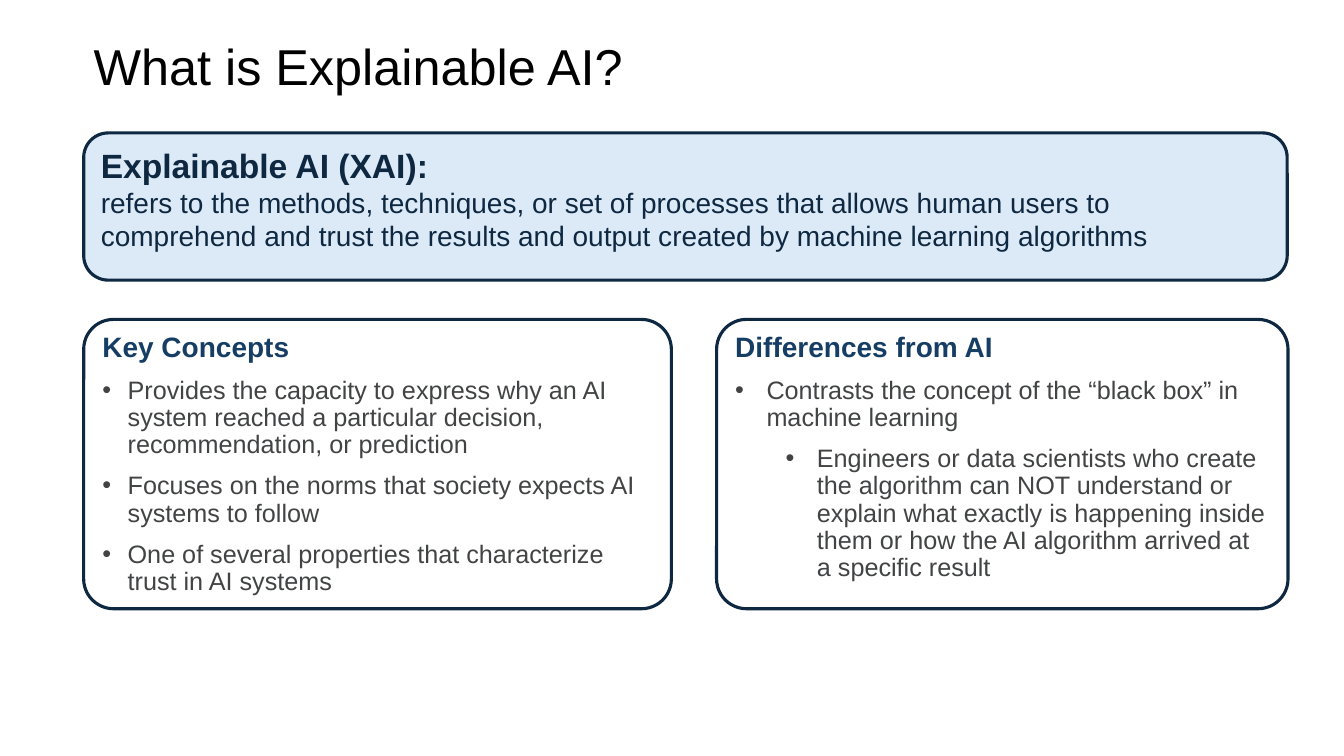
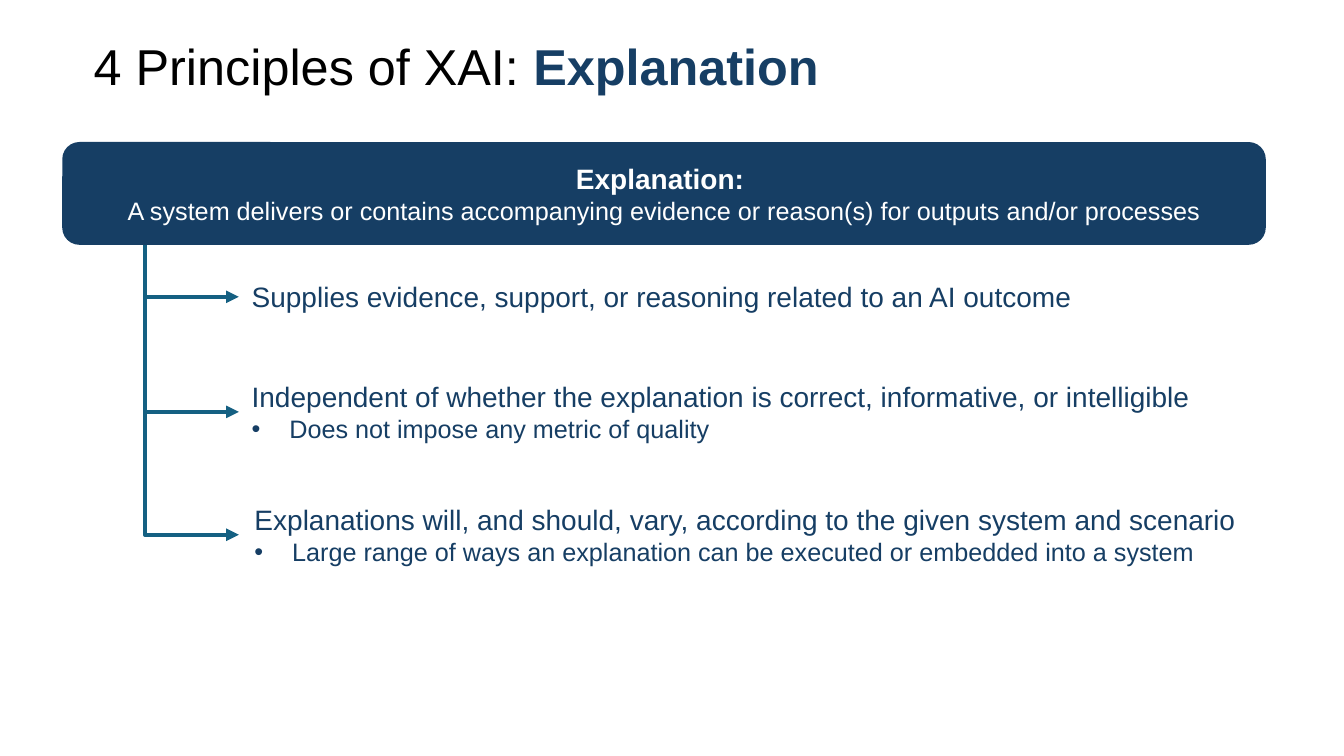
"""Build two slides that introduce explainable AI and its explanation principle."""
import lxml.etree
import pptx
import pptx.dml.color
import pptx.enum.shapes
import pptx.enum.text
import pptx.oxml.ns
import pptx.util

Cm = pptx.util.Cm
Pt = pptx.util.Pt
FONT = "Arial"
HUES = {
    "black": "000000",
    "white": "FFFFFF",
    "navy": "0E2841",
    "blue": "163E64",
    "pale": "DCEAF7",
    "gray": "424344",
    "teal": "156082",
}
LEFT = 2.11
WIDE = 30.33


def hue(name):
    return pptx.dml.color.RGBColor.from_string(HUES[name])


def add_tag(node, tag, **attrs):
    return lxml.etree.SubElement(node, pptx.oxml.ns.qn(tag), **attrs)


def add_par(frame, first, runs, tight=False, dent=0, left=0, level=0, align="LEFT"):
    par = frame.paragraphs[0] if first else frame.add_paragraph()
    par.alignment = getattr(pptx.enum.text.PP_ALIGN, align)
    par.level = level
    if tight:
        par.line_spacing = 0.9
        par.space_before = Pt(10)
    if dent:
        props = par._p.get_or_add_pPr()
        props.set("marL", str(Cm(left or dent)))
        props.set("indent", str(-Cm(dent)))
        add_tag(props, "a:buFont", typeface=FONT)
        add_tag(props, "a:buChar", char="•")
    for text, size, color, bold in runs:
        run = par.add_run()
        run.text = text
        run.font.name = FONT
        run.font.size = Pt(size)
        run.font.bold = bold
        run.font.color.rgb = hue(color)
    return par


def fill_text(shape, pars, mid=True):
    frame = shape.text_frame
    frame.word_wrap = True
    anchor = pptx.enum.text.MSO_ANCHOR
    frame.vertical_anchor = anchor.MIDDLE if mid else anchor.TOP
    for spot, par in enumerate(pars):
        add_par(frame, spot == 0, **par)


def add_title(slide, *runs):
    box = slide.shapes.add_textbox(Cm(LEFT), Cm(0.74), Cm(29.21), Cm(2.01))
    fill_text(box, [{"runs": [(text, 36, *style) for text, *style in runs]}])
    box.text_frame.paragraphs[0].line_spacing = 0.9


def add_box(slide, place, pars, fill=None, line=None, curve=None, mid=True):
    kind = pptx.enum.shapes.MSO_SHAPE.ROUNDED_RECTANGLE
    box = slide.shapes.add_shape(kind, *map(Cm, place))
    box.shadow.inherit = False
    if curve:
        box.adjustments[0] = curve
    if fill:
        box.fill.solid()
        box.fill.fore_color.rgb = hue(fill)
    else:
        box.fill.background()
    if line:
        box.line.color.rgb = hue(line)
        box.line.width = Pt(2.25)
    else:
        box.line.fill.background()
    fill_text(box, pars, mid)


def add_card(slide, left, width, head, points):
    pars = [{"runs": [(head, 20, "blue", True)], "tight": True}]
    for text, shape in points:
        pars.append({"runs": [(text, 18, "gray", False)], "tight": True, **shape})
    add_box(slide, (left, 8.05, width, 7.29), pars, line="navy", curve=0.103, mid=False)


def add_branch(slide, start, end):
    kind = pptx.enum.shapes.MSO_CONNECTOR.ELBOW
    link = slide.shapes.add_connector(kind, *map(Cm, start + end))
    link.line.color.rgb = hue("teal")
    link.line.width = Pt(3)
    add_tag(link.line._get_or_add_ln(), "a:tailEnd", type="triangle")
    props = link._element.spPr
    add_tag(props, "a:effectLst")
    bends = props.find(".//" + pptx.oxml.ns.qn("a:avLst"))
    add_tag(bends, "a:gd", name="adj1", fmla="val 0")


def add_item(slide, top, width, height, head, note=None):
    left = 6.02
    pars = [{"runs": [(head, 20, "blue", False)]}]
    if note:
        pars.append({"runs": [(note, 18, "blue", False)], "dent": 0.95})
    add_box(slide, (left, top, width, height), pars)
    add_branch(slide, (3.66, 6.17), (left, top + height / 2))


def build_intro(slide):
    add_title(slide, ("What is Explainable AI?", "black", False))
    add_box(slide, (LEFT, 3.35, WIDE, 3.71), [
        {"runs": [("Explainable AI (XAI):", 24, "navy", True)]},
        {"runs": [("refers to the methods, techniques, or set of processes that "
                   "allows human users to comprehend and trust the results and "
                   "output created by machine learning algorithms",
                   20, "navy", False)]},
    ], fill="pale", line="navy", mid=False)
    point = {"dent": 0.64}
    add_card(slide, LEFT, 14.81, "Key Concepts", [
        ("Provides the capacity to express why an AI system reached a particular "
         "decision, recommendation, or prediction", point),
        ("Focuses on the norms that society expects AI systems to follow", point),
        ("One of several properties that characterize trust in AI systems", point),
    ])
    add_card(slide, 18.06, 14.4, "Differences from AI", [
        ("Contrasts the concept of the “black box” in machine learning",
         {"dent": 0.79}),
        ("Engineers or data scientists who create the algorithm can NOT understand "
         "or explain what exactly is happening inside them or how the AI algorithm "
         "arrived at a specific result", {"dent": 0.79, "left": 2.06, "level": 1}),
    ])


def build_rule(slide):
    add_title(slide, ("4 Principles of XAI: ", "black", False),
              ("Explanation", "blue", True))
    add_item(slide, 6.73, 25.32, 1.5,
             "Supplies evidence, support, or reasoning related to an AI outcome")
    add_item(slide, 9.63, 25.86, 1.5,
             "Independent of whether the explanation is correct, informative, "
             "or intelligible",
             "Does not impose any metric of quality")
    add_item(slide, 11.99, 25.86, 2.97,
             "Explanations will, and should, vary, according to the given system "
             "and scenario",
             "Large range of ways an explanation can be executed or embedded "
             "into a system")
    add_box(slide, (1.57, 3.58, WIDE, 2.59), [
        {"runs": [("Explanation: ", 20, "white", True)], "align": "CENTER"},
        {"runs": [("A system delivers or contains accompanying evidence or "
                   "reason(s) for outputs and/or processes", 18, "white", False)],
         "align": "CENTER"},
    ], fill="blue")


def main():
    deck = pptx.Presentation()
    deck.slide_width = Cm(33.87)
    deck.slide_height = Cm(19.05)
    for build in (build_intro, build_rule):
        build(deck.slides.add_slide(deck.slide_layouts[6]))
    deck.save("out.pptx")


if __name__ == "__main__":
    main()
